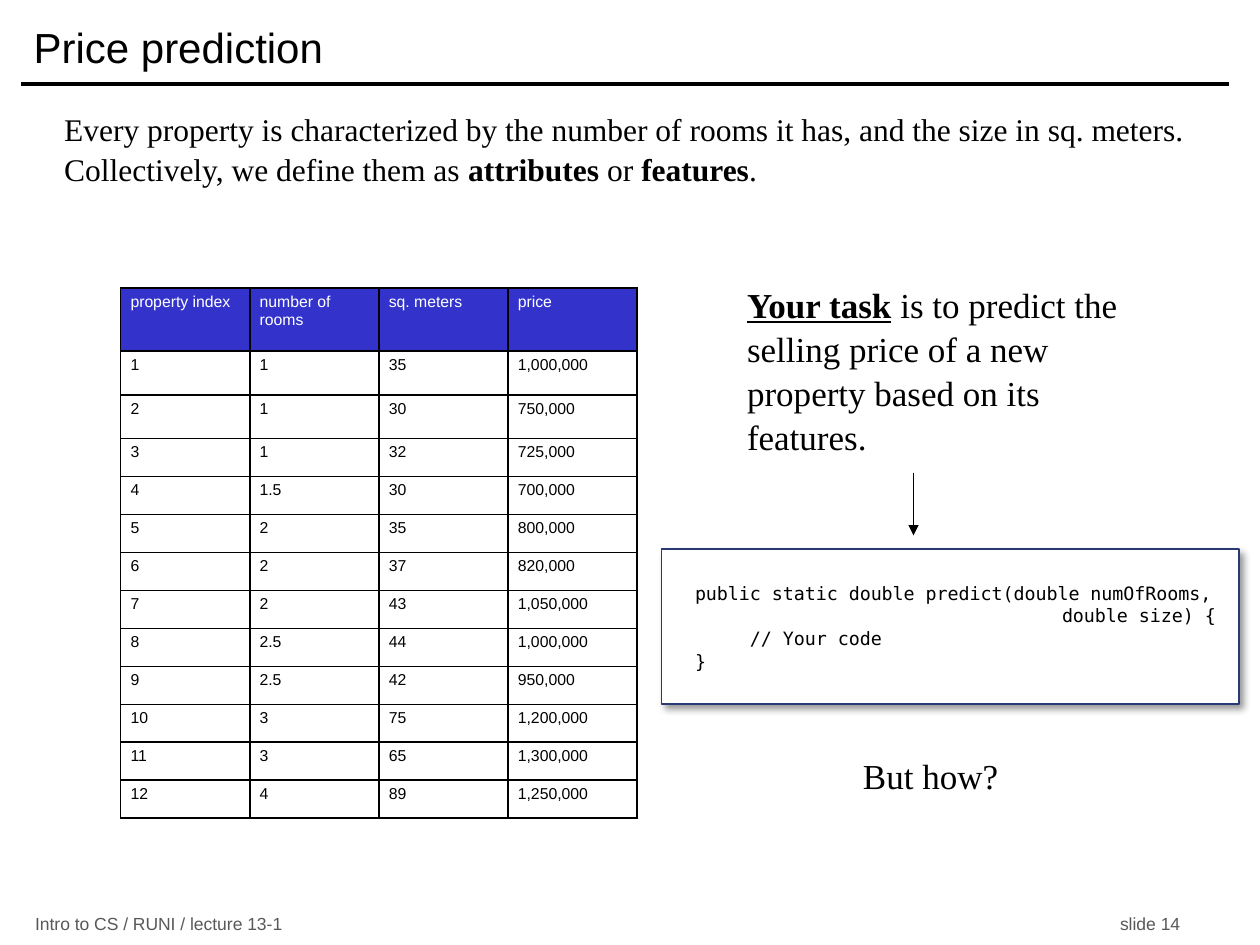
import dataclasses

import lxml.etree
import pptx
import pptx.dml.color
import pptx.enum.shapes
import pptx.enum.text
import pptx.oxml
import pptx.oxml.ns
import pptx.util

Pt = pptx.util.Pt
RGB = pptx.dml.color.RGBColor
Anchor = pptx.enum.text.MSO_ANCHOR
qn = pptx.oxml.ns.qn

BLACK = RGB(0x00, 0x00, 0x00)
WHITE = RGB(0xFF, 0xFF, 0xFF)
BLUE = RGB(0x33, 0x33, 0xCC)
NAVY = RGB(0x29, 0x39, 0x73)
GRAY = RGB(0x59, 0x59, 0x59)
SANS, SERIF, MONO = "Arial", "Times New Roman", "DejaVu Sans Mono"
SPACING = 1.05


@dataclasses.dataclass
class Box:
    left: float
    top: float
    width: float
    height: float

    def place(self) -> tuple:
        return tuple(map(Pt, (self.left, self.top, self.width, self.height)))


@dataclasses.dataclass
class Style:
    font: str
    size: float
    color: RGB = BLACK


@dataclasses.dataclass
class Span:
    text: str
    bold: bool = False
    under: bool = False


@dataclasses.dataclass
class Note:
    box: Box
    spans: list


@dataclasses.dataclass
class Line:
    start: tuple
    end: tuple
    width: float
    arrow: bool = False


TITLE = Box(12, 6, 690, 41.5)
INTRO = Note(Box(29.5, 58.3, 678, 88.5), [
    Span("Every property is characterized by the number of rooms it has, "
         "and the size in sq. meters. Collectively, we define them as "),
    Span("attributes", bold=True),
    Span(" or "),
    Span("features", bold=True),
    Span("."),
])
NOTES = [
    Note(Box(419.8, 157, 246, 104.4), [
        Span("Your task", bold=True, under=True),
        Span(" is to predict the selling price of a new property "
             "based on its features."),
    ]),
    Note(Box(486, 426.2, 96, 31.7), [Span("But how?")]),
]
LINES = [
    Line((12, 48), (702, 48), 2),
    Line((522, 270), (522, 306), 0.75, arrow=True),
]

HEAD = ("property index", "number of rooms", "sq. meters", "price")
HOMES = [
    ("1", "35", "1,000,000"), ("1", "30", "750,000"), ("1", "32", "725,000"),
    ("1.5", "30", "700,000"), ("2", "35", "800,000"), ("2", "37", "820,000"),
    ("2", "43", "1,050,000"), ("2.5", "44", "1,000,000"),
    ("2.5", "42", "950,000"), ("3", "75", "1,200,000"),
    ("3", "65", "1,300,000"), ("4", "89", "1,250,000"),
]
ROWS = [HEAD] + [(str(n), *home) for n, home in enumerate(HOMES, 1)]
TALL = [36, 25, 25] + [21.7] * 10
GRID = Box(69, 164.7, 295.2, sum(TALL))

CODE = Box(378, 313.8, 330, 88.6)
CODE_LINES = [
    "public static double predict(double numOfRooms,",
    "double size) {",
    "     // Your code",
    "}",
]
FOOT = Box(13, 520.6, 678, 13.7)


def dress(run, style: Style, bold: bool = False, under: bool = False) -> None:
    font = run.font
    font.name, font.size = style.font, Pt(style.size)
    font.color.rgb = style.color
    font.bold, font.underline = bold, under


def write(frame, spans: list, style: Style) -> None:
    para = frame.paragraphs[0]
    para.line_spacing = SPACING
    para.space_before = Pt(0)
    for span in spans:
        run = para.add_run()
        run.text = span.text
        dress(run, style, span.bold, span.under)


def add_box(slide, box: Box):
    frame = slide.shapes.add_textbox(*box.place()).text_frame
    frame.word_wrap = True
    return frame


def draw_line(slide, line: Line) -> None:
    kind = pptx.enum.shapes.MSO_CONNECTOR.STRAIGHT
    ends = map(Pt, line.start + line.end)
    item = slide.shapes.add_connector(kind, *ends)
    item.line.color.rgb = BLACK
    item.line.width = Pt(line.width)
    if line.arrow:
        stroke = item._element.spPr.find(qn("a:ln"))
        lxml.etree.SubElement(stroke, qn("a:tailEnd"), type="triangle")
    lxml.etree.SubElement(item._element.spPr, qn("a:effectLst"))


def edge(cell) -> None:
    """Give a cell a thin black border on all sides."""
    props = cell._tc.get_or_add_tcPr()
    for side in ("lnL", "lnR", "lnT", "lnB"):
        line = lxml.etree.SubElement(props, qn("a:" + side), w=str(Pt(1)))
        fill = lxml.etree.SubElement(line, qn("a:solidFill"))
        lxml.etree.SubElement(fill, qn("a:srgbClr"), val=str(BLACK))


def draw_grid(slide) -> None:
    shape = slide.shapes.add_table(len(ROWS), len(HEAD), *GRID.place())
    table = shape.table
    table.horz_banding = False
    for col in table.columns:
        col.width = Pt(GRID.width / len(HEAD))
    for r, (row, tall) in enumerate(zip(ROWS, TALL)):
        table.rows[r].height = Pt(tall)
        for c, text in enumerate(row):
            cell = table.cell(r, c)
            cell.margin_left = cell.margin_right = Pt(5.6)
            cell.margin_top = cell.margin_bottom = Pt(2.8)
            cell.text_frame.text = text
            color = BLACK if r else WHITE
            dress(cell.text_frame.paragraphs[0].runs[0], Style(SANS, 9, color))
            edge(cell)
            if r:
                cell.fill.background()
            else:
                cell.fill.solid()
                cell.fill.fore_color.rgb = BLUE


def add_shade(shape) -> None:
    """Add a soft shadow that falls to the lower right."""
    shape.shadow.inherit = False
    effects = shape._element.spPr.find(qn("a:effectLst"))
    shade = lxml.etree.SubElement(
        effects, qn("a:outerShdw"), blurRad=str(Pt(4)), dist=str(Pt(3)),
        dir=str(45 * 60000), algn="tl", rotWithShape="0")
    color = lxml.etree.SubElement(shade, qn("a:srgbClr"), val=str(BLACK))
    lxml.etree.SubElement(color, qn("a:alpha"), val="40000")


def draw_code(slide) -> None:
    kind = pptx.enum.shapes.MSO_SHAPE.RECTANGLE
    shape = slide.shapes.add_shape(kind, *CODE.place())
    shape.fill.solid()
    shape.fill.fore_color.rgb = WHITE
    shape.line.color.rgb = NAVY
    shape.line.width = Pt(0.75)
    add_shade(shape)
    frame = shape.text_frame
    frame.margin_left = Pt(19.2)
    frame.margin_right = frame.margin_top = frame.margin_bottom = Pt(0)
    frame.vertical_anchor = Anchor.MIDDLE
    frame.text = "\n".join(CODE_LINES)
    for para in frame.paragraphs:
        para.alignment = pptx.enum.text.PP_ALIGN.LEFT
        para.line_spacing = 1.03
        dress(para.runs[0], Style(MONO, 10.5))
    frame.paragraphs[1]._p.get_or_add_pPr().set("marL", str(Pt(209.7)))


def draw_foot(slide) -> None:
    frame = add_box(slide, FOOT)
    frame.vertical_anchor = Anchor.MIDDLE
    para = frame.paragraphs[0]
    tabs = lxml.etree.SubElement(para._p.get_or_add_pPr(), qn("a:tabLst"))
    lxml.etree.SubElement(tabs, qn("a:tab"), pos=str(Pt(654.3)), algn="r")
    para.text = "Intro to CS / RUNI / lecture 13-1\tslide 14"
    for run in para.runs:
        dress(run, Style(SANS, 10, GRAY))


def fill_holders(slide) -> None:
    title, body = slide.shapes.title, slide.placeholders[1]
    for holder, box in ((title, TITLE), (body, INTRO.box)):
        holder.left, holder.top, holder.width, holder.height = box.place()
        holder.text_frame.auto_size = pptx.enum.text.MSO_AUTO_SIZE.NONE
    title.text_frame.text = "Price prediction"
    para = title.text_frame.paragraphs[0]
    para.alignment = pptx.enum.text.PP_ALIGN.LEFT
    dress(para.runs[0], Style(SANS, 24))
    props = body.text_frame.paragraphs[0]._p.get_or_add_pPr()
    props.set("marL", "0")
    props.set("indent", "0")
    lxml.etree.SubElement(props, qn("a:buNone"))
    write(body.text_frame, INTRO.spans, Style(SERIF, 18))


def main() -> None:
    deck = pptx.Presentation()
    deck.slide_width, deck.slide_height = Pt(720), Pt(540)
    slide = deck.slides.add_slide(deck.slide_layouts[1])
    fill_holders(slide)
    draw_foot(slide)
    draw_grid(slide)
    for note in NOTES:
        write(add_box(slide, note.box), note.spans, Style(SERIF, 20))
    draw_code(slide)
    for line in LINES:
        draw_line(slide, line)
    deck.save("out.pptx")


if __name__ == "__main__":
    main()
